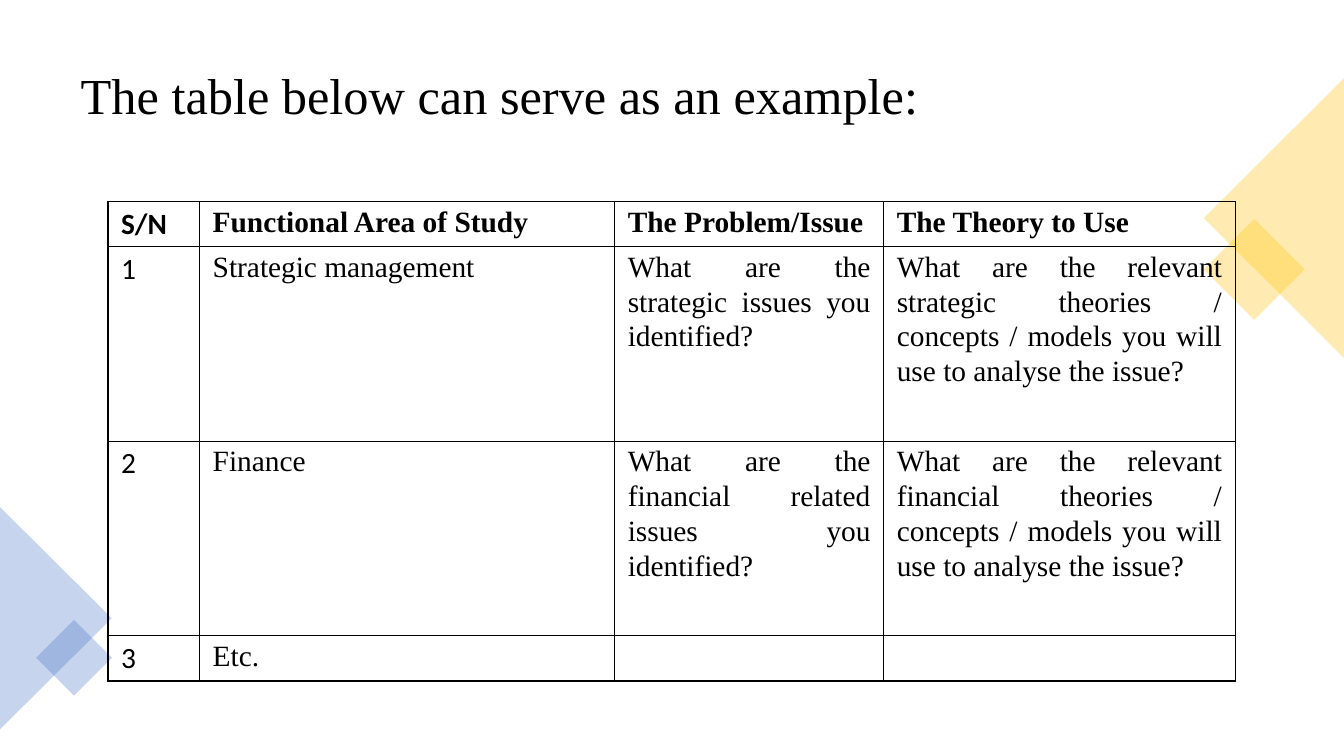
from dataclasses import dataclass

from lxml import etree
from pptx import Presentation
from pptx.dml.color import RGBColor
from pptx.enum import shapes, text
from pptx.oxml import ns
from pptx.util import Cm, Pt


@dataclass(frozen=True)
class Theme:
    ink: RGBColor = RGBColor(0x00, 0x00, 0x00)
    gold: RGBColor = RGBColor(0xFF, 0xC0, 0x00)
    blue: RGBColor = RGBColor(0x44, 0x72, 0xC4)
    serif: str = "Times New Roman"
    sans: str = "Calibri"
    title_size: Pt = Pt(36)
    cell_size: Pt = Pt(21)
    border: Pt = Pt(1)
    alpha: int = 30000


theme = Theme()


def set_font(font, **values):
    font.color.rgb = theme.ink
    for name, value in values.items():
        setattr(font, name, value)


def add_borders(cell):
    """Draw a solid line on all four sides; the lines must precede the fill."""
    props = cell._tc.get_or_add_tcPr()
    for i, side in enumerate(("lnL", "lnR", "lnT", "lnB")):
        line = etree.Element(ns.qn(f"a:{side}"), w=str(int(theme.border)))
        fill = etree.SubElement(line, ns.qn("a:solidFill"))
        etree.SubElement(fill, ns.qn("a:srgbClr"), val=str(theme.ink))
        props.insert(i, line)


prs = Presentation()
prs.slide_width, prs.slide_height = Cm(33.87), Cm(19.05)
s = prs.slides.add_slide(prs.slide_layouts[5])

# Title
title = s.shapes.title
title.left, title.top, title.width, title.height = Cm(1.78), Cm(0.89), Cm(30.3), Cm(3.15)
tf = title.text_frame
tf.text = "The table below can serve as an example:"
tf.auto_size = text.MSO_AUTO_SIZE.NONE
tf.vertical_anchor = text.MSO_ANCHOR.MIDDLE
p = tf.paragraphs[0]
p.alignment, p.line_spacing = text.PP_ALIGN.LEFT, 0.9
set_font(p.runs[0].font, name=theme.serif, size=theme.title_size)

# Translucent corner decoration: kind, left, top, width, height, rotation, colour
square = shapes.MSO_SHAPE.RECTANGLE
triangle = shapes.MSO_SHAPE.ISOSCELES_TRIANGLE
decorations = [
    (square, 30.71, 5.89, 1.8, 1.8, 45, theme.gold),
    (triangle, 28.58, 3.73, 7.04, 3.53, 270, theme.gold),
    (triangle, -1.4, 14.17, 5.61, 2.82, 90, theme.blue),
    (square, 1.19, 15.9, 1.35, 1.35, 45, theme.blue),
]
for kind, left, top, width, height, rotation, colour in decorations:
    sp = s.shapes.add_shape(kind, Cm(left), Cm(top), Cm(width), Cm(height))
    sp.rotation = rotation
    sp.shadow.inherit = False
    sp.line.fill.background()
    sp.fill.solid()
    sp.fill.fore_color.rgb = colour
    rgb = sp._element.spPr.find(".//" + ns.qn("a:srgbClr"))
    etree.SubElement(rgb, ns.qn("a:alpha"), val=str(theme.alpha))

# Table of study areas
rows = [
    ("S/N", "Functional Area of Study", "The Problem/Issue", "The Theory to Use"),
    ("1", "Strategic management",
     "What are the strategic issues you identified?",
     "What are the relevant strategic theories / concepts / models "
     "you will use to analyse the issue?"),
    ("2", "Finance",
     "What are the financial related issues you identified?",
     "What are the relevant financial theories / concepts / models "
     "you will use to analyse the issue?"),
    ("3", "Etc.", "", ""),
]
col_widths = [2.31, 10.46, 6.78, 8.86]
row_heights = [1.14, 4.9, 4.9, 1.14]
cell_format = {"margin_left": Cm(0.33), "margin_right": Cm(0.33),
               "margin_top": Cm(0.05), "margin_bottom": Cm(0)}

table = s.shapes.add_table(len(rows), len(col_widths), Cm(2.72), Cm(5.08),
                           Cm(sum(col_widths)), Cm(sum(row_heights))).table
table.first_row = table.horz_banding = False
for column, width in zip(table.columns, col_widths):
    column.width = Cm(width)
for row, height in zip(table.rows, row_heights):
    row.height = Cm(height)

for r, values in enumerate(rows):
    for c, value in enumerate(values):
        cell = table.cell(r, c)
        for name, setting in cell_format.items():
            setattr(cell, name, setting)
        cell.fill.background()
        add_borders(cell)
        if value:
            cell.text = value
            p = cell.text_frame.paragraphs[0]
            p.alignment, p.line_spacing = text.PP_ALIGN.JUSTIFY, 1.07
            set_font(p.runs[0].font, name=theme.serif if c else theme.sans,
                     size=theme.cell_size, bold=r == 0)

prs.save("out.pptx")
